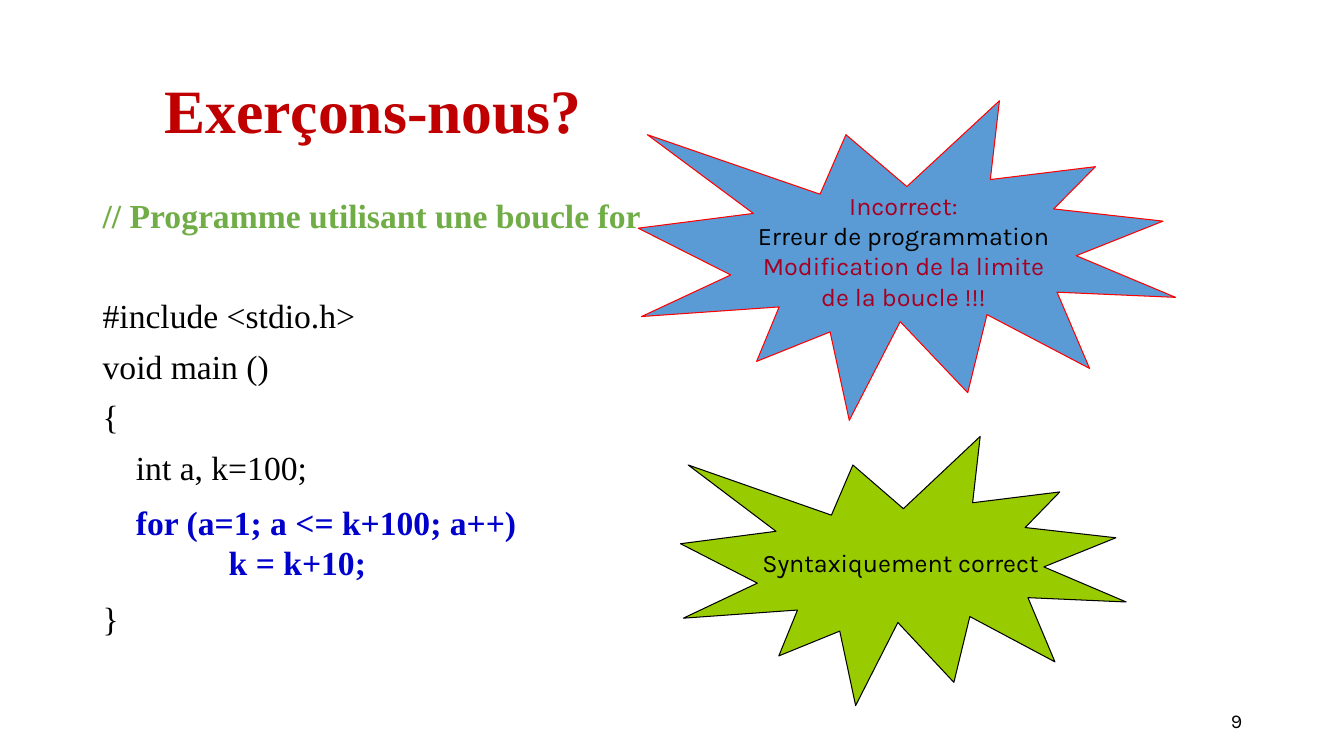
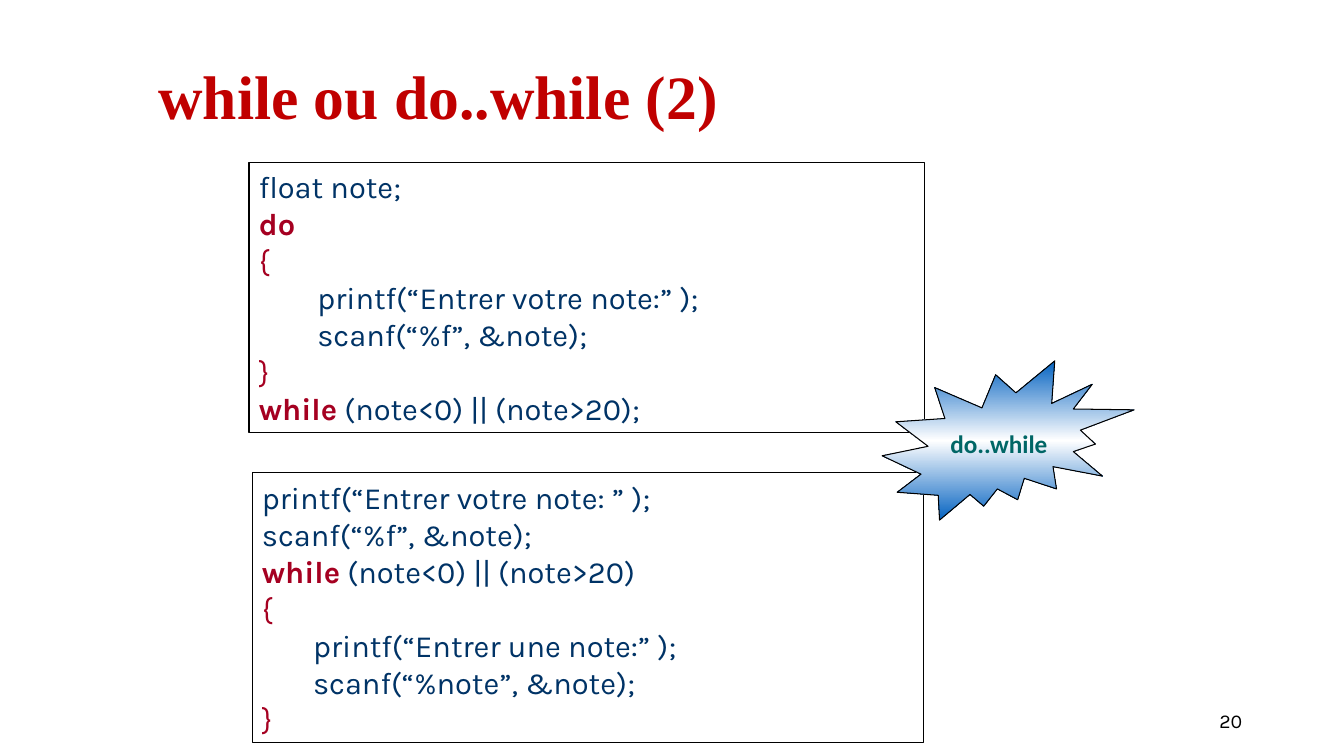
from copy import deepcopy

from pptx import Presentation
from pptx import util as u
from pptx.dml.color import RGBColor
from pptx.enum import shapes, text
from pptx.oxml.ns import qn

SERIF, SANS, LABEL = "Times New Roman", "Karla", "Calibri"
BLACK, TITLE_RED, KEYWORD = "000000", "C00000", "A50021"
COMMENT, LOOP_BLUE, CODE = "70AD47", "0000CC", "003366"
SKY, RED, LIME, TEAL = "5B9BD5", "FF0000", "99CC00", "006666"
GRADIENT = ((0, "0563C1"), (0.5, "FFFFFF"), (1, "0563C1"))

LEFT, CENTER, RIGHT = text.PP_ALIGN.LEFT, text.PP_ALIGN.CENTER, text.PP_ALIGN.RIGHT
TOP, MIDDLE = text.MSO_ANCHOR.TOP, text.MSO_ANCHOR.MIDDLE


def rgb(color):
    return RGBColor.from_string(color)


def inches(box):
    return [u.Inches(length) for length in box]


def write(frame, lines, size, font, align=LEFT, anchor=TOP, wrap=True):
    """Fill a frame; each line is a list of (text, colour, bold) runs."""
    frame.word_wrap, frame.vertical_anchor = wrap, anchor
    for index, runs in enumerate(lines):
        line = frame.add_paragraph() if index else frame.paragraphs[0]
        line.alignment = align
        for words, color, bold in runs:
            run = line.add_run()
            run.text = words
            for name, value in dict(size=u.Pt(size), name=font, bold=bold).items():
                setattr(run.font, name, value)
            run.font.color.rgb = rgb(color)
    return frame.paragraphs


def indent(line, length):
    line._p.get_or_add_pPr().set("marL", str(u.Inches(length)))


def text_box(slide, box, lines, size, font, **layout):
    frame = slide.shapes.add_textbox(*inches(box)).text_frame
    return write(frame, lines, size, font, **layout)


def outlined(slide, kind, box, line_color=BLACK):
    shape = slide.shapes.add_shape(kind, *inches(box))
    shape.shadow.inherit = False
    shape.fill.background()
    shape.line.color.rgb, shape.line.width = rgb(line_color), u.Pt(0.75)
    return shape


def burst(slide, kind, box, fill, lines, font=SANS, line_color=BLACK):
    """Explosion callout; fill is one colour or a series of gradient stops."""
    shape = outlined(slide, kind, box, line_color)
    if isinstance(fill, str):
        shape.fill.solid()
        shape.fill.fore_color.rgb = rgb(fill)
    else:
        shape.fill.gradient()
        shape.fill.gradient_angle = 90
        first = next(shape._element.spPr.iter(qn("a:gs")))
        first.addnext(deepcopy(first))
        for stop, (position, color) in zip(shape.fill.gradient_stops, fill):
            stop.position, stop.color.rgb = position, rgb(color)
    write(shape.text_frame, lines, 18, font, CENTER, MIDDLE, wrap=False)


def code_panel(slide, box, lines):
    panel = outlined(slide, shapes.MSO_SHAPE.RECTANGLE, box)
    write(panel.text_frame, lines, 22, SANS, anchor=MIDDLE)


def titled_slide(deck, title, title_box, number):
    slide = deck.slides.add_slide(deck.slide_layouts[5])
    heading = slide.shapes.title
    heading.left, heading.top, heading.width, heading.height = inches(title_box)
    line, = write(heading.text_frame, [[(title, TITLE_RED, True)]], 44, SERIF, anchor=MIDDLE)
    line.line_spacing = 0.9
    text_box(slide, (9.42, 6.95, 3, 0.4), [[(number, BLACK, False)]], 14, SANS,
             align=RIGHT, anchor=MIDDLE)
    return slide


def program(slide, box):
    """Program listing, with the loop set apart in the gap before the last brace."""
    left, top, width, height = box
    row, gap = 26, 10
    listing = [("// Programme utilisant une boucle for", 0), ("#include <stdio.h>", 1),
               ("void main ()", 0), ("{", 0), ("int a, k=100;", 0), ("}", 2)]
    runs = [[(words, BLACK if i else COMMENT, not i)] for i, (words, _) in enumerate(listing)]
    lines = text_box(slide, box, runs, 24, SERIF)
    for index, (line, (_, skipped)) in enumerate(zip(lines, listing)):
        line.line_spacing = u.Pt(row)
        if index:
            line.space_before = u.Pt(gap + skipped * (row + gap))
    indent(lines[4], 0.33)

    loop = [[(words, LOOP_BLUE, True)] for words in ("for (a=1; a <= k+100; a++)", "k = k+10;")]
    head, body = text_box(slide, (left + 0.25, top + 3.01, width / 2, 0.91), loop, 24, SERIF)
    indent(head, 0.08)
    indent(body, 1)


def exercise_slide(deck):
    slide = titled_slide(deck, "Exerçons-nous?", (1.53, 0.4, 11.5, 1.45), "9")
    program(slide, (0.92, 1.92, 8.5, 5.58))
    kind = shapes.MSO_SHAPE.EXPLOSION1
    verdict = [("Incorrect:", KEYWORD), ("Erreur de programmation", BLACK),
               ("Modification de la limite", KEYWORD), ("de la boucle !!!", KEYWORD)]
    burst(slide, kind, (6.33, 1, 5.33, 3.17), SKY,
          [[(words, color, False)] for words, color in verdict], line_color=RED)
    burst(slide, kind, (6.75, 4.33, 4.42, 2.67), LIME,
          [[("Syntaxiquement correct", BLACK, False)]])


def comparison_slide(deck):
    slide = titled_slide(deck, "while ou do..while (2)", (1.47, 0.36, 9, 1.25), "20")

    def plain(words):
        return [(words, CODE, False)]

    def keyword(word, rest=""):
        return [(word, KEYWORD, True)] + (plain(rest) if rest else [])

    opening, closing = ([(brace, KEYWORD, False)] for brace in "{}")
    code_panel(slide, (2.47, 1.61, 6.7, 2.68), [
        plain("float note;"),
        keyword("do"),
        opening,
        plain("        printf(“Entrer votre note:” );"),
        plain("        scanf(“%f”, &note);"),
        closing,
        keyword("while", " (note<0) || (note>20);"),
    ])
    code_panel(slide, (2.5, 4.69, 6.66, 2.68), [
        plain("printf(“Entrer votre note: ” );"),
        plain("scanf(“%f”, &note);"),
        keyword("while", " (note<0) || (note>20)"),
        opening,
        plain("       printf(“Entrer une note:” );"),
        plain("       scanf(“%note”, &note);"),
        closing,
    ])
    burst(slide, shapes.MSO_SHAPE.EXPLOSION2, (8.75, 3.58, 2.5, 1.58), GRADIENT,
          [[("do..while", TEAL, True)]], font=LABEL)


def main():
    deck = Presentation()
    deck.slide_width, deck.slide_height = inches((13.33, 7.5))
    exercise_slide(deck)
    comparison_slide(deck)
    deck.save("out.pptx")


if __name__ == "__main__":
    main()
